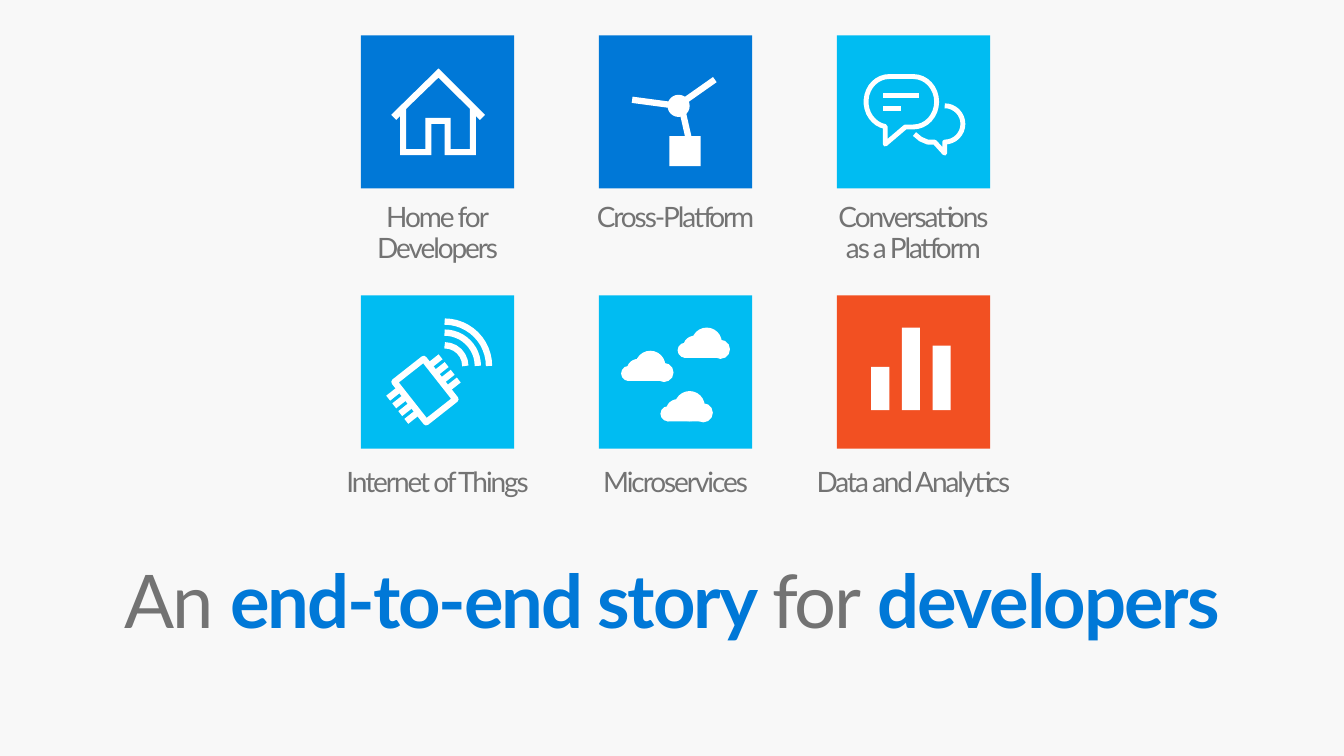
import math

import pptx
import pptx.dml.color
import pptx.enum.shapes
import pptx.enum.text
import pptx.oxml.ns
import pptx.util
from lxml import etree

COLORS = {
    "background": "F8F8F8",
    "blue": "0078D7",
    "cyan": "00BCF2",
    "orange": "F25022",
    "white": "FFFFFF",
    "gray": "737373",
}
CELL = pptx.util.Inches(0.01)
SLIDE_COLUMNS, SLIDE_ROWS = 1333, 750
TILE = 152
FIRST_COLUMN, COLUMN_STEP = 358, 236
ROW_TOPS = (35, 293)
LABEL_OFFSETS = (157, 162)
LABEL_WIDTH, TEXT_HEIGHT = 277, 95
STROKE = 4.5
BUBBLE_STROKE = 3.5
SHAPES = pptx.enum.shapes.MSO_SHAPE


def color(name):
    return pptx.dml.color.RGBColor.from_string(COLORS[name])


def cells(*values):
    return [round(value * CELL) for value in values]


def paint(shape, fill=None, line=None, width=STROKE):
    shape.shadow.inherit = False
    if fill:
        shape.fill.solid()
        shape.fill.fore_color.rgb = color(fill)
    else:
        shape.fill.background()
    if line:
        shape.line.color.rgb = color(line)
        shape.line.width = pptx.util.Pt(width)
    else:
        shape.line.fill.background()


def add_shape(slide, box, kind, left, top, width, height, fill="white", line=None):
    position = cells(box[0] + left, box[1] + top, width, height)
    shape = slide.shapes.add_shape(kind, *position)
    paint(shape, fill, line)
    return shape


def add_line(slide, box, start, end, width=STROKE):
    ends = cells(box[0] + start[0], box[1] + start[1], box[0] + end[0], box[1] + end[1])
    line = slide.shapes.add_connector(pptx.enum.shapes.MSO_CONNECTOR.STRAIGHT, *ends)
    line.line.color.rgb = color("white")
    line.line.width = pptx.util.Pt(width)
    etree.SubElement(line._element.spPr, pptx.oxml.ns.qn("a:effectLst"))


def add_outline(slide, box, contours, close=True, **look):
    builder = None
    for contour in contours:
        points = [cells(box[0] + x, box[1] + y) for x, y in contour]
        if builder is None:
            builder = slide.shapes.build_freeform(*points[0])
        else:
            builder.move_to(*points[0])
        builder.add_line_segments(points[1:], close=close)
    paint(builder.convert_to_shape(), **look)


def arc_points(center_x, center_y, radius_x, radius_y, start, end):
    angles = [math.radians(start + (end - start) * step / 16) for step in range(17)]
    return [(center_x + radius_x * math.cos(angle), center_y + radius_y * math.sin(angle))
            for angle in angles]


def add_text(slide, box, paragraphs, size=20):
    text_box = slide.shapes.add_textbox(*cells(*box))
    frame = text_box.text_frame
    frame.word_wrap = True
    frame.margin_left = frame.margin_right = pptx.util.Inches(0.16)
    frame.margin_top = frame.margin_bottom = pptx.util.Inches(0.1)
    for index, runs in enumerate(paragraphs):
        paragraph = frame.paragraphs[0] if index == 0 else frame.add_paragraph()
        paragraph.alignment = pptx.enum.text.PP_ALIGN.CENTER
        paragraph.line_spacing = 0.9
        for text, color_name, bold in runs:
            run = paragraph.add_run()
            run.text = text
            run.font.name = "Lato"
            run.font.size = pptx.util.Pt(size)
            run.font.bold = bold
            run.font.color.rgb = color(color_name)
            run._r.get_or_add_rPr().set("spc", "-150")


def draw_home(slide, box):
    outside = [(30, 79), (35, 84), (39, 80), (39, 119), (70, 119), (70, 88), (83, 88),
               (83, 119), (114, 119), (114, 80), (118, 84), (123, 79), (77, 33)]
    inside = [(108, 113), (89, 113), (89, 82), (64, 82), (64, 113), (45, 113),
              (45, 73), (77, 42), (108, 73)]
    add_outline(slide, box, [outside, inside], fill="white")


def draw_turbine(slide, box):
    add_shape(slide, box, SHAPES.RECTANGLE, 70, 100, 31, 30)
    add_shape(slide, box, SHAPES.OVAL, 68, 59, 22, 22)
    for start, end in (((115, 44), (78, 70)), ((33, 64), (78, 70)), ((81, 67), (91, 111))):
        add_line(slide, box, start, end)


def draw_bubbles(slide, box):
    front = (arc_points(52, 66, 23, 25, 100, 270) + arc_points(76, 66, 23, 25, -90, 90)
             + [(68, 91), (48, 108)])
    back = (arc_points(107, 88, 18, 18, -90, 90)
            + [(107, 117), (97, 106), (90, 106), (83, 103), (77, 98)])
    add_outline(slide, box, [front], line="white", width=BUBBLE_STROKE)
    add_outline(slide, box, [back], close=False, line="white", width=BUBBLE_STROKE)
    for end_x, y in ((82, 60), (64, 73)):
        add_line(slide, box, (46, y), (end_x, y), BUBBLE_STROKE)


def draw_chip(slide, box):
    for pin in range(4):
        x, y = 6 * pin, 7.67 * pin
        add_line(slide, box, (27 + x, 102 + y), (79 + x, 61 + y))
    chip = add_shape(slide, box, SHAPES.RECTANGLE, 45, 69, 37, 51, "cyan", "white")
    chip.rotation = 321.8
    for diameter in (88, 66, 41):
        add_shape(slide, box, SHAPES.ARC, 83 - diameter / 2, 70 - diameter / 2,
                  diameter, diameter, None, "white")


def draw_clouds(slide, box):
    puffs = ((14, 0, 30, 30), (0, 15, 15, 15), (33, 12, 19, 19), (6, 8, 23, 20))
    for left, top in ((22, 55), (61, 95), (78, 32)):
        cloud = (box[0] + left, box[1] + top)
        add_shape(slide, cloud, SHAPES.ROUNDED_RECTANGLE, 6, 24, 36, 6)
        for puff in puffs:
            add_shape(slide, cloud, SHAPES.OVAL, *puff)


def draw_bars(slide, box):
    for index, height in enumerate((43, 82, 64)):
        add_shape(slide, box, SHAPES.RECTANGLE, 34 + 30.5 * index, 114 - height, 18, height)


def draw_topic(slide, box, fill, draw_icon, label_offset, lines):
    add_shape(slide, box, SHAPES.RECTANGLE, 0, 0, TILE, TILE, fill)
    draw_icon(slide, box)
    label = (box[0] + (TILE - LABEL_WIDTH) / 2, box[1] + label_offset,
             LABEL_WIDTH, TEXT_HEIGHT)
    add_text(slide, label, [[(line, "gray", False)] for line in lines])


def draw_headline(slide, box):
    add_text(slide, box, [[("An ", "gray", False), ("end-to-end story ", "blue", True),
                           ("for", "gray", False), (" developers", "blue", True)]], size=52.9)


def main():
    presentation = pptx.Presentation()
    presentation.slide_width, presentation.slide_height = cells(SLIDE_COLUMNS, SLIDE_ROWS)
    slide = presentation.slides.add_slide(presentation.slide_layouts[6])
    slide.background.fill.solid()
    slide.background.fill.fore_color.rgb = color("background")
    topics = (
        ("blue", draw_home, ("Home for", "Developers")),
        ("blue", draw_turbine, ("Cross-Platform",)),
        ("cyan", draw_bubbles, ("Conversations", "as a Platform")),
        ("cyan", draw_chip, ("Internet of Things",)),
        ("cyan", draw_clouds, ("Microservices",)),
        ("orange", draw_bars, ("Data and Analytics",)),
    )
    for index, (fill, draw_icon, lines) in enumerate(topics):
        row, column = divmod(index, 3)
        box = (FIRST_COLUMN + COLUMN_STEP * column, ROW_TOPS[row])
        draw_topic(slide, box, fill, draw_icon, LABEL_OFFSETS[row], lines)
    draw_headline(slide, (46, 550, 1241, TEXT_HEIGHT))
    presentation.save("out.pptx")


if __name__ == "__main__":
    main()
